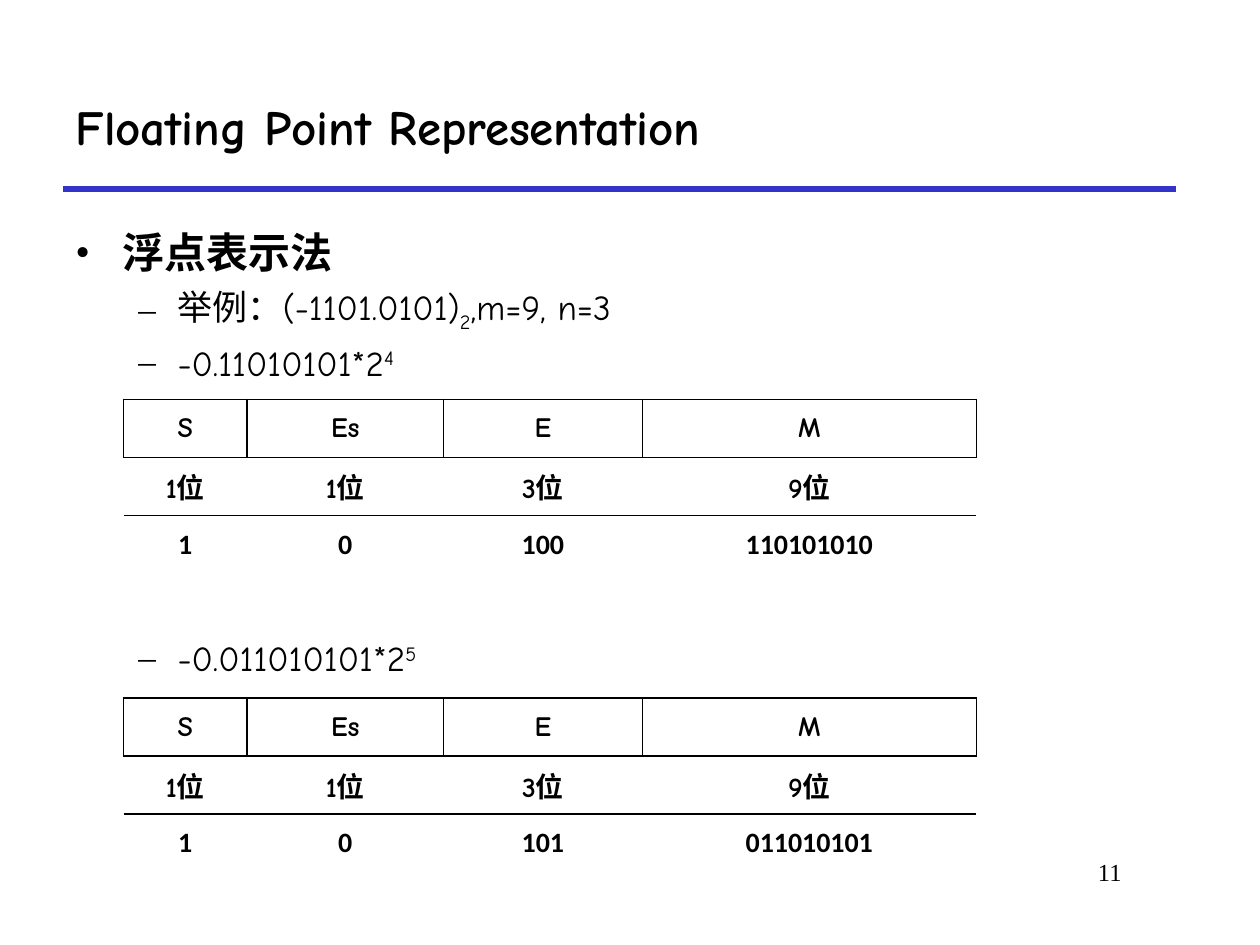
from dataclasses import dataclass
from typing import Optional

from lxml.etree import SubElement
from pptx import Presentation
from pptx.dml.color import RGBColor
from pptx.enum.shapes import MSO_CONNECTOR
from pptx.enum.text import MSO_ANCHOR, MSO_AUTO_SIZE, PP_ALIGN
from pptx.oxml.ns import qn
from pptx.util import Cm, Pt


@dataclass(frozen=True)
class Theme:
    """Colours, fonts and type sizes of the slide."""
    ink: RGBColor = RGBColor(0x00, 0x00, 0x00)
    paper: RGBColor = RGBColor(0xFF, 0xFF, 0xFF)
    rule: RGBColor = RGBColor(0x33, 0x33, 0xCC)
    main_font: str = "Comic Neue"
    value_font: str = "Calibri"
    number_font: str = "Times New Roman"
    title_size: int = 28
    topic_size: int = 24
    example_size: int = 20
    table_size: int = 16
    number_size: int = 14


@dataclass(frozen=True)
class Piece:
    """Part of a line, raised or lowered by a percentage."""
    text: str
    baseline: int = 0


@dataclass(frozen=True)
class Bullet:
    """One bulleted line; lengths in centimetres, space in points."""
    pieces: tuple[Piece, ...]
    mark: str
    level: int
    margin: float
    hanging: float
    space_before: float
    size: int
    bold: bool = False


@dataclass(frozen=True)
class Encoding:
    """Field values of one floating point word and its table's top in centimetres."""
    top: float
    exponent: str
    mantissa: str


THEME = Theme()
FIELDS = ("S", "Es", "E", "M")
FIELD_BITS = ("1位", "1位", "3位", "9位")
FIELD_WIDTHS = (2.49, 3.96, 4.01, 6.73)
ROW_HEIGHT = 1.17
TABLE_LEFT = 2.49
SIDES = ("L", "R", "T", "B")
ROW_BORDERS = ("LRTB", "TB", "T")
ENCODINGS = (Encoding(8.05, "100", "110101010"), Encoding(14.07, "101", "011010101"))


def example(*pieces: Piece, space_before: float = 4.6) -> Bullet:
    """Describe a second-level line."""
    return Bullet(pieces, "–", 1, 2.06, 0.79, space_before, THEME.example_size)


BULLETS = (
    Bullet((Piece("浮点表示法"),), "•", 0, 0.95, 0.95, 0, THEME.topic_size, True),
    example(Piece("举例：(-1101.0101)"), Piece("2", -25), Piece(",m=9, n=3")),
    example(Piece("-0.11010101*2"), Piece("4", 30)),
    example(Piece("-0.011010101*2"), Piece("5", 30), space_before=145),
)


def add_run(paragraph, text: str, size: int, font: str = THEME.main_font,
            bold: bool = False, baseline: int = 0) -> None:
    """Append one formatted run."""
    run = paragraph.add_run()
    run.text = text
    run.font.size = Pt(size)
    run.font.name = font
    run.font.bold = bold
    run.font.color.rgb = THEME.ink
    if baseline:
        run._r.get_or_add_rPr().set("baseline", str(baseline * 1000))


def add_title(slide, text: str) -> None:
    """Place and fill the title placeholder."""
    title = slide.shapes.title
    title.left, title.top, title.width, title.height = Cm(1.27), Cm(1.27), Cm(22.43), Cm(2.54)
    frame = title.text_frame
    frame.auto_size = MSO_AUTO_SIZE.NONE
    frame.vertical_anchor = MSO_ANCHOR.MIDDLE
    frame.paragraphs[0].alignment = PP_ALIGN.LEFT
    add_run(frame.paragraphs[0], text, THEME.title_size, bold=True)


def add_rule(slide) -> None:
    """Draw the line beneath the title."""
    rule = slide.shapes.add_connector(
        MSO_CONNECTOR.STRAIGHT, Cm(1.27), Cm(3.81), Cm(23.7), Cm(3.81))
    rule.line.color.rgb = THEME.rule
    rule.line.width = Pt(3)
    SubElement(rule._element.spPr, qn("a:effectLst"))


def add_bullets(slide, bullets: tuple[Bullet, ...]) -> None:
    """Write the bulleted lines in one text box."""
    frame = slide.shapes.add_textbox(Cm(1.27), Cm(4.45), Cm(23.06), Cm(12.27)).text_frame
    frame.word_wrap = True
    for index, bullet in enumerate(bullets):
        paragraph = frame.add_paragraph() if index else frame.paragraphs[0]
        paragraph.level = bullet.level
        paragraph.space_before = Pt(bullet.space_before)
        properties = paragraph._p.get_or_add_pPr()
        properties.set("marL", str(Cm(bullet.margin)))
        properties.set("indent", str(-Cm(bullet.hanging)))
        SubElement(properties, qn("a:buFont"), typeface=THEME.number_font)
        SubElement(properties, qn("a:buChar"), char=bullet.mark)
        for piece in bullet.pieces:
            add_run(paragraph, piece.text, bullet.size, bold=bullet.bold,
                    baseline=piece.baseline)


def set_borders(cell, visible: str) -> None:
    """Rule the visible sides of a cell and clear the others."""
    properties = cell._tc.get_or_add_tcPr()
    for side in SIDES:
        border = SubElement(properties, qn(f"a:ln{side}"), w=str(Pt(1)))
        if side in visible:
            fill = SubElement(border, qn("a:solidFill"))
            SubElement(fill, qn("a:srgbClr"), val=str(THEME.ink))
        else:
            SubElement(border, qn("a:noFill"))


def fill_cell(cell, text: str, font: str, borders: str) -> None:
    """Format one table cell."""
    set_borders(cell, borders)
    cell.fill.solid()
    cell.fill.fore_color.rgb = THEME.paper
    cell.vertical_anchor = MSO_ANCHOR.MIDDLE
    cell.margin_left = cell.margin_right = Cm(0.18)
    cell.margin_top = cell.margin_bottom = Cm(0)
    paragraph = cell.text_frame.paragraphs[0]
    paragraph.alignment = PP_ALIGN.CENTER
    add_run(paragraph, text, THEME.table_size, font, bold=True)


def add_encoding(slide, encoding: Encoding) -> None:
    """Draw the field table of one encoding."""
    values = ("1", "0", encoding.exponent, encoding.mantissa)
    rows = (FIELDS, FIELD_BITS, values)
    table = slide.shapes.add_table(
        len(rows), len(FIELDS), Cm(TABLE_LEFT), Cm(encoding.top),
        Cm(sum(FIELD_WIDTHS)), Cm(ROW_HEIGHT * len(rows))).table
    for column, width in zip(table.columns, FIELD_WIDTHS):
        column.width = Cm(width)
    for row_index, (texts, borders) in enumerate(zip(rows, ROW_BORDERS)):
        font = THEME.value_font if texts is values else THEME.main_font
        for column_index, text in enumerate(texts):
            fill_cell(table.cell(row_index, column_index), text, font, borders)


def add_page_number(slide, number: Optional[str]) -> None:
    """Write the page number at the lower right."""
    frame = slide.shapes.add_textbox(Cm(19.26), Cm(17.15), Cm(3.6), Cm(1.27)).text_frame
    frame.word_wrap = True
    frame.paragraphs[0].alignment = PP_ALIGN.RIGHT
    add_run(frame.paragraphs[0], number, THEME.number_size, THEME.number_font)


def main() -> None:
    """Build and save the slide."""
    deck = Presentation()
    deck.slide_width, deck.slide_height = Cm(25.4), Cm(19.05)
    slide = deck.slides.add_slide(deck.slide_layouts[5])
    add_rule(slide)
    add_title(slide, "Floating Point Representation")
    add_bullets(slide, BULLETS)
    add_page_number(slide, "11")
    for encoding in ENCODINGS:
        add_encoding(slide, encoding)
    deck.save("out.pptx")


if __name__ == "__main__":
    main()
